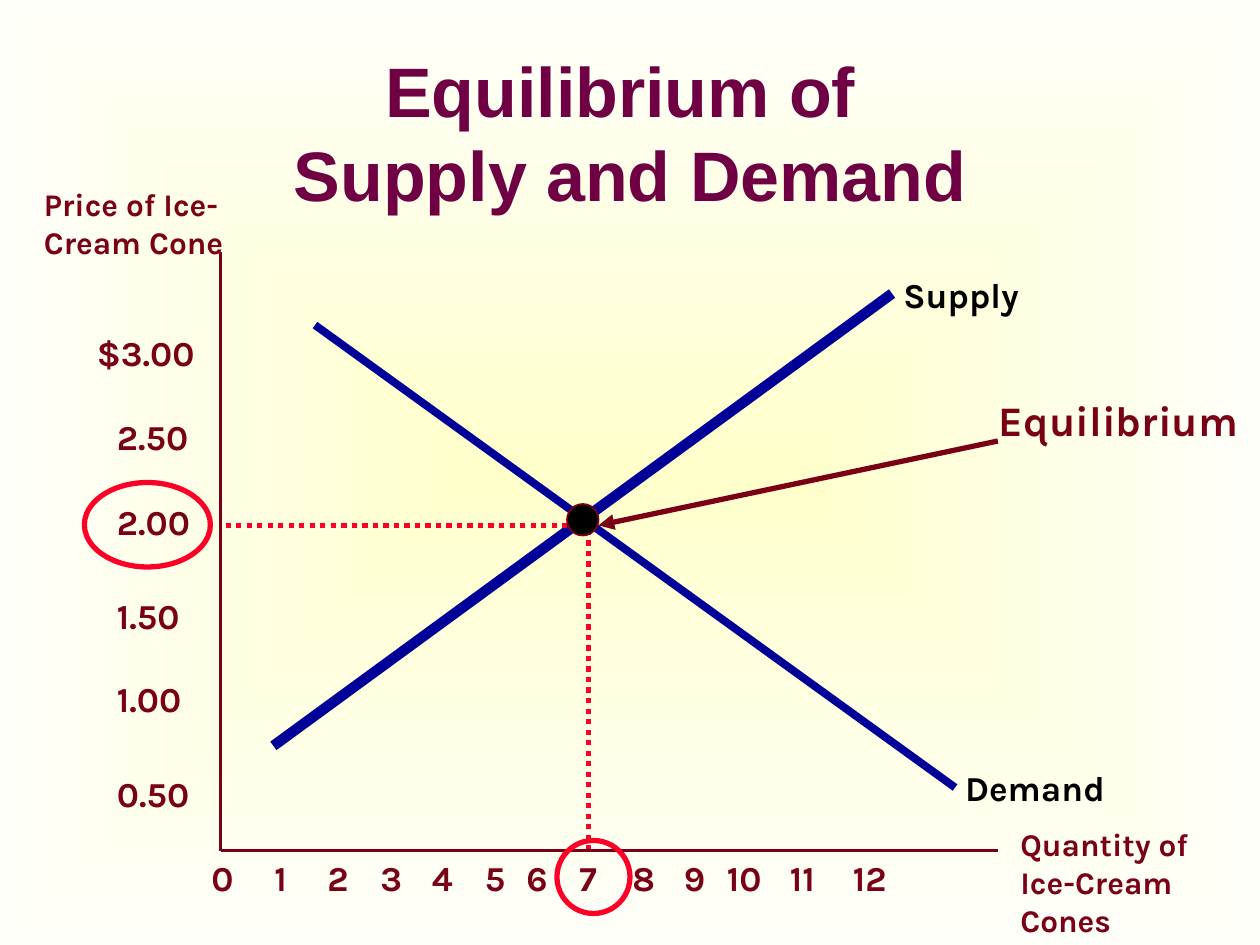
from typing import NamedTuple, Optional

from lxml.etree import SubElement
from pptx import Presentation
from pptx.dml.color import RGBColor
from pptx.enum.dml import MSO_LINE
from pptx.enum.shapes import MSO_CONNECTOR as Link, MSO_SHAPE as Shape
from pptx.enum.text import MSO_ANCHOR as Anchor, MSO_AUTO_SIZE as Fit, PP_ALIGN as Align
from pptx.oxml import parse_xml
from pptx.oxml.ns import nsdecls, qn
from pptx.util import Inches, Pt

BLACK = RGBColor(0x00, 0x00, 0x00)
BLUE = RGBColor(0x00, 0x00, 0x99)
RED = RGBColor(0xFC, 0x01, 0x28)
MAROON = RGBColor(0x79, 0x00, 0x15)
PLUM = RGBColor(0x6E, 0x00, 0x43)
CREAM = RGBColor(0xFF, 0xFF, 0xCC)
IVORY = RGBColor(0xFF, 0xFF, 0xFA)


class Line(NamedTuple):
    x1: float
    y1: float
    x2: float
    y2: float
    color: RGBColor
    width: float
    dotted: bool = False
    arrow: bool = False


class Label(NamedTuple):
    text: str
    x: float
    y: float
    w: float
    h: float = 0.44
    size: int = 20
    before: float = 12.5
    color: RGBColor = MAROON
    tight: bool = False


class Oval(NamedTuple):
    x: float
    y: float
    w: float
    h: float
    color: RGBColor
    width: float
    fill: Optional[RGBColor] = None


ORIGIN_X, ORIGIN_Y = 1.75, 6.75
END_X = 7.92
EQ_X, EQ_Y = 4.67, 4.17

LINES = [
    Line(2.17, 5.92, 7.08, 2.33, BLUE, 6),
    Line(2.5, 2.58, 7.58, 6.25, BLUE, 4.5),
    Line(EQ_X, EQ_Y, ORIGIN_X, EQ_Y, RED, 3, dotted=True),
    Line(EQ_X, ORIGIN_Y, EQ_X, EQ_Y, RED, 3, dotted=True),
    Line(ORIGIN_X, 2, ORIGIN_X, ORIGIN_Y, MAROON, 2.25),
    Line(ORIGIN_X, ORIGIN_Y, END_X, ORIGIN_Y, MAROON, 2.25),
]
POINTER = Line(4.75, EQ_Y, END_X, 3.5, MAROON, 3, arrow=True)

LABELS = [
    Label("Supply", 7.17, 2.17, 0.93, 0.33, before=0, color=BLACK, tight=True),
    Label("Demand", 7.66, 6.08, 1.17, 0.33, before=0, color=BLACK, tight=True),
    Label("Price of Ice-Cream Cone", 0.25, 1.42, 1.67, 1, 18, 11.2),
    Label("Quantity of Ice-Cream Cones", 8, 6.5, 1.67, 1, 18, 11.2),
    Label("Equilibrium", 7.83, 3.08, 2.17, 0.5, 24, 15),
]
COUNTS = [1.58, 2.08, 2.5, 2.92, 3.33, 3.75, 4.08, 4.5, 4.92, 5.33, 5.67, 6.17, 6.67]
PRICES = [("2.50", 3.25), ("2.00", 3.92), ("1.50", 4.67), ("1.00", 5.33), ("0.50", 6.08)]
LABELS += [Label(str(n), x, ORIGIN_Y, 0.5 if n < 9 else 0.58) for n, x in enumerate(COUNTS)]
LABELS += [Label("$3.00", 0.67, 2.58, 1)]
LABELS += [Label(price, 0.83, y, 0.83) for price, y in PRICES]

DOT = Oval(4.5, 4, 0.25, 0.25, MAROON, 1, BLACK)
RINGS = [Oval(0.67, 3.83, 1, 0.67, RED, 3), Oval(4.42, 6.67, 0.58, 0.58, RED, 3)]


def paint_back(slide) -> None:
    """Fill the background with a gradient that spreads from the centre."""
    fill = slide.background.fill
    fill.gradient()
    for stop, color, place in zip(fill.gradient_stops, (CREAM, IVORY), (0, 1)):
        stop.color.rgb = color
        stop.position = place
    grad = slide.element.find(".//" + qn("a:gradFill"))
    grad.replace(grad.find(qn("a:lin")), parse_xml(
        f'<a:path {nsdecls("a")} path="rect">'
        '<a:fillToRect l="50000" t="50000" r="50000" b="50000"/></a:path>'))


def add_title(slide) -> None:
    title = slide.shapes.title
    title.left, title.top = Inches(0.75), Inches(0.42)
    title.width, title.height = Inches(8.5), Inches(1.25)
    frame = title.text_frame
    frame.text = "Equilibrium of \vSupply and Demand"
    frame.vertical_anchor = Anchor.MIDDLE
    frame.auto_size = Fit.NONE
    para = frame.paragraphs[0]
    para.alignment = Align.CENTER
    set_font(para.font, "Arial", 40, PLUM)


def set_font(font, name: str, size: float, color: RGBColor) -> None:
    font.name, font.size, font.bold = name, Pt(size), True
    font.color.rgb = color


def add_line(slide, line: Line) -> None:
    link = slide.shapes.add_connector(
        Link.STRAIGHT, *map(Inches, (line.x1, line.y1, line.x2, line.y2)))
    link.line.color.rgb = line.color
    link.line.width = Pt(line.width)
    if line.dotted:
        link.line.dash_style = MSO_LINE.ROUND_DOT
    props = link.element.spPr
    if line.arrow:
        SubElement(props.find(qn("a:ln")), qn("a:headEnd"), type="triangle")
    SubElement(props, qn("a:effectLst"))


def add_label(slide, label: Label) -> None:
    box = slide.shapes.add_textbox(*map(Inches, (label.x, label.y, label.w, label.h)))
    frame = box.text_frame
    frame.word_wrap = not label.tight
    frame.auto_size = Fit.SHAPE_TO_FIT_TEXT
    if label.tight:
        frame.margin_left = frame.margin_right = 0
        frame.margin_top = frame.margin_bottom = 0
    frame.text = label.text
    para = frame.paragraphs[0]
    para.space_before = Pt(label.before)
    set_font(para.font, "Karla", label.size, label.color)


def add_oval(slide, oval: Oval) -> None:
    shape = slide.shapes.add_shape(
        Shape.OVAL, *map(Inches, (oval.x, oval.y, oval.w, oval.h)))
    shape.shadow.inherit = False
    if oval.fill is None:
        shape.fill.background()
    else:
        shape.fill.solid()
        shape.fill.fore_color.rgb = oval.fill
    shape.line.color.rgb = oval.color
    shape.line.width = Pt(oval.width)


def main() -> None:
    deck = Presentation()
    deck.slide_width, deck.slide_height = Inches(10), Inches(7.5)
    slide = deck.slides.add_slide(deck.slide_layouts[5])
    paint_back(slide)
    add_title(slide)
    for line in LINES:
        add_line(slide, line)
    for label in LABELS:
        add_label(slide, label)
    add_oval(slide, DOT)
    add_line(slide, POINTER)
    for ring in RINGS:
        add_oval(slide, ring)
    deck.save("out.pptx")


if __name__ == "__main__":
    main()
